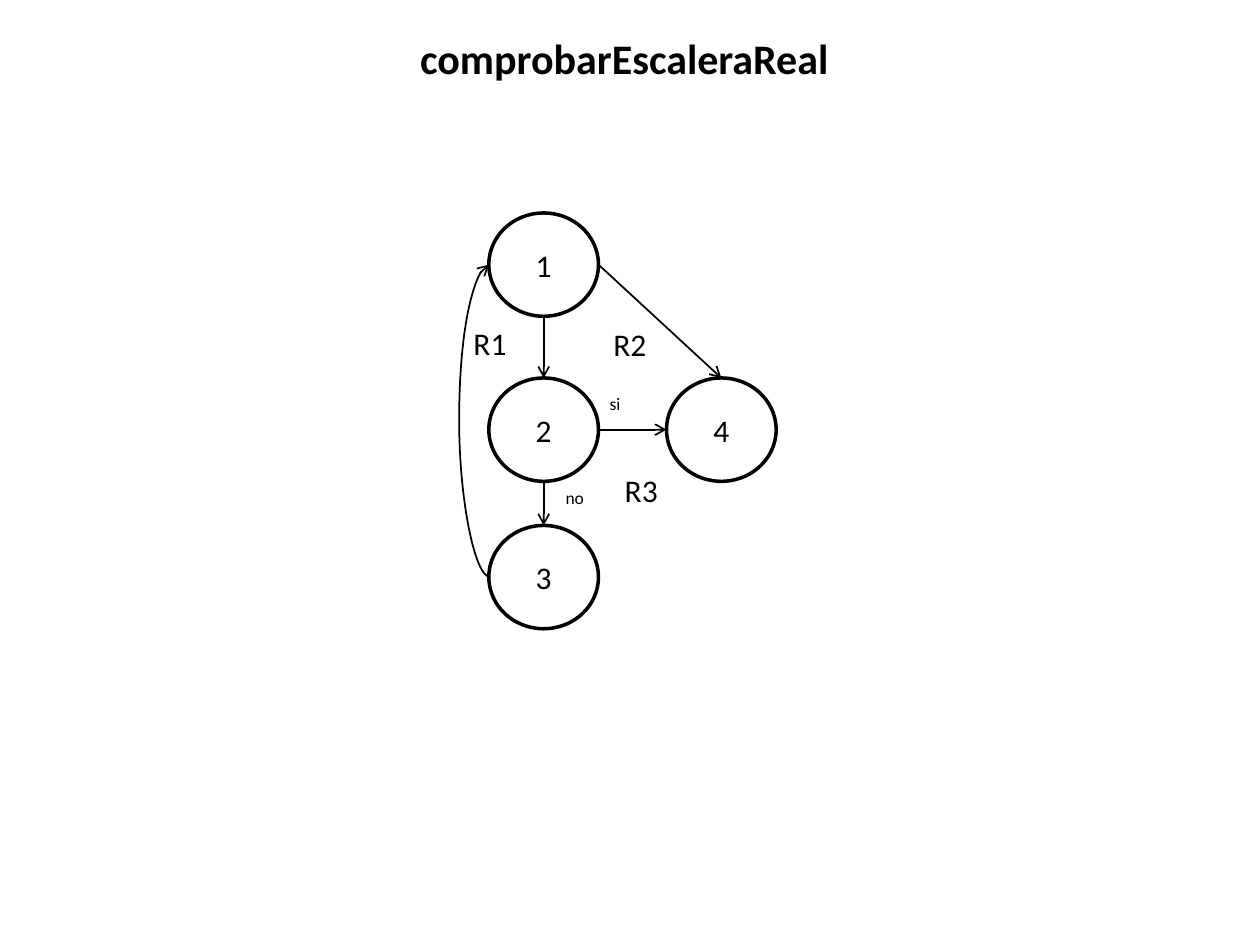
from lxml.etree import SubElement
from pptx import Presentation
from pptx.dml.color import RGBColor
from pptx.enum.shapes import MSO_CONNECTOR, MSO_SHAPE
from pptx.enum.text import MSO_ANCHOR, MSO_AUTO_SIZE, PP_ALIGN
from pptx.oxml.ns import qn
from pptx.util import Inches, Pt

COLORS = {"ink": "000000", "paper": "FFFFFF"}
NODE_W, NODE_H = 0.87, 0.82
NODES = {"1": (0, 0), "2": (0, 1.31), "3": (0, 2.48), "4": (1.41, 1.31)}
EDGES = [("1", "bottom", "2", "top"), ("2", "bottom", "3", "top"),
         ("2", "right", "4", "left"), ("1", "right", "4", "top")]
LABELS = [("si", 0.86, 1.38, 0.29, 0.27, 10), ("no", 0.51, 2.13, 0.35, 0.27, 10),
          ("R1", -0.22, 0.83, 0.47, 0.4, 18), ("R2", 0.89, 0.84, 0.47, 0.4, 18),
          ("R3", 0.98, 2, 0.47, 0.4, 18)]
SIDES = {"top": (0.5, 0), "bottom": (0.5, 1), "left": (0, 0.5), "right": (1, 0.5)}


def rgb(name):
    """Return a palette colour."""
    return RGBColor.from_string(COLORS[name])


def set_text(sp, text, size, bold=False, align=PP_ALIGN.LEFT):
    """Write one styled paragraph into a shape."""
    tf = sp.text_frame
    tf.text = text
    p = tf.paragraphs[0]
    p.alignment = align
    font = p.runs[0].font
    font.name, font.size, font.bold = "Calibri", Pt(size), bold
    font.color.rgb = rgb("ink")


def add_text(s, box, text, size, wrap=False, **style):
    """Add a text box that grows with its text."""
    sp = s.shapes.add_textbox(*map(Inches, box))
    set_text(sp, text, size, **style)
    sp.text_frame.word_wrap = wrap
    sp.text_frame.auto_size = MSO_AUTO_SIZE.SHAPE_TO_FIT_TEXT


def add_node(s, box, text):
    """Add a numbered circle."""
    sp = s.shapes.add_shape(MSO_SHAPE.OVAL, *map(Inches, box))
    sp.shadow.inherit = False
    sp.fill.background()
    sp.line.color.rgb = rgb("ink")
    sp.line.width = Pt(2)
    set_text(sp, text, 18, align=PP_ALIGN.CENTER)
    sp.text_frame.vertical_anchor = MSO_ANCHOR.MIDDLE


def add_arrow(s, start, end, kind=MSO_CONNECTOR.STRAIGHT):
    """Add a thin connector with an open arrowhead at its end."""
    c = s.shapes.add_connector(kind, *map(Inches, (*start, *end)))
    c.line.color.rgb = rgb("ink")
    c.line.width = Pt(1)
    SubElement(c.line._get_or_add_ln(), qn("a:tailEnd"), type="arrow")
    SubElement(c._element.spPr, qn("a:effectLst"))
    return c


def add_return_arrow(s, start, end, bulge):
    """Add a curved arrow that bows left from start up to end."""
    c = add_arrow(s, end, start, MSO_CONNECTOR.CURVE)
    spPr = c._element.spPr
    spPr.find(qn("a:xfrm")).set("rot", "10800000")
    geom = spPr.find(qn("a:prstGeom"))
    guides = geom.find(qn("a:avLst"))
    if guides is None:
        guides = SubElement(geom, qn("a:avLst"))
    ratio = round(bulge / (start[0] - end[0]) * 100000)
    SubElement(guides, qn("a:gd"), name="adj1", fmla=f"val {ratio}")


def add_graph(s, x, y):
    """Draw the flow graph with its top left corner at x, y."""
    def port(node, side):
        """Return the point on one side of a node."""
        (dx, dy), (fx, fy) = NODES[node], SIDES[side]
        return x + dx + fx * NODE_W, y + dy + fy * NODE_H

    for text, (dx, dy) in NODES.items():
        add_node(s, (x + dx, y + dy, NODE_W, NODE_H), text)
    for a, a_side, b, b_side in EDGES:
        add_arrow(s, port(a, a_side), port(b, b_side))
    left, low = port("3", "left")
    add_return_arrow(s, (left + 0.01, low), port("1", "left"), 0.25)
    for text, dx, dy, w, h, size in LABELS:
        add_text(s, (x + dx, y + dy, w, h), text, size)


def main():
    """Build and save the slide."""
    prs = Presentation()
    prs.slide_width, prs.slide_height = Inches(10), Inches(7.5)
    s = prs.slides.add_slide(prs.slide_layouts[6])
    s.background.fill.solid()
    s.background.fill.fore_color.rgb = rgb("paper")
    add_graph(s, 3.88, 1.69)
    add_text(s, (1.05, 0.21, 7.81, 0.5), "comprobarEscaleraReal", 24,
             wrap=True, bold=True, align=PP_ALIGN.CENTER)
    prs.save("out.pptx")


main()
